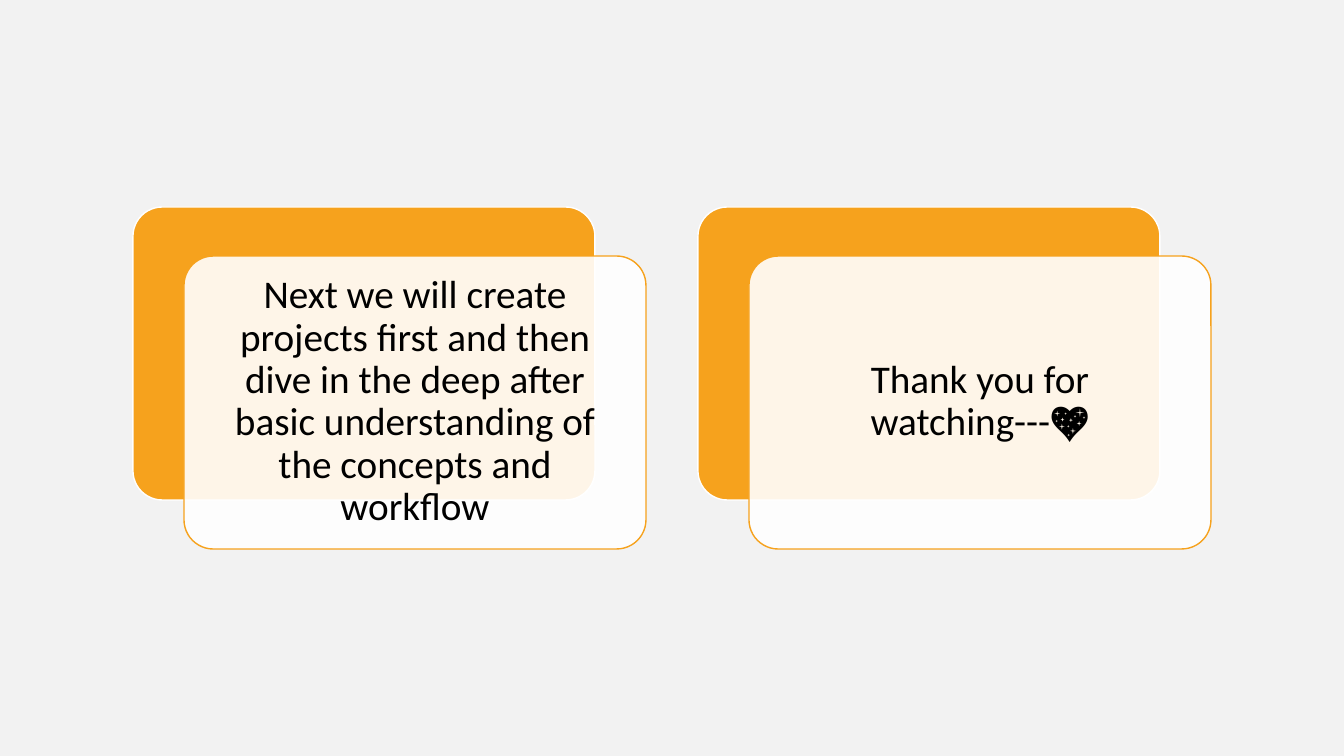
"""Build the closing slide with two layered cards."""
import pptx
import pptx.util
import pptx.dml.color
import pptx.enum.shapes
import pptx.enum.text
import pptx.oxml.ns
import lxml.etree

PX = 12192000 / 1344
HUES = {"back": "F2F2F2", "gold": "F6A21D", "white": "FFFFFF", "ink": "000000"}
NOTES = [
    "Next we will create projects first and then dive in the deep "
    "after basic understanding of the concepts and workflow",
    "Thank you for watching---💖",
]
LEFT, TOP, STEP = 133, 207, 565
WIDE, HIGH = 462, 293


def px(*nums):
    return [pptx.util.Emu(round(num * PX)) for num in nums]


def hue(name):
    return pptx.dml.color.RGBColor.from_string(HUES[name])


deck = pptx.Presentation()
deck.slide_width, deck.slide_height = px(1344, 756)
slide = deck.slides.add_slide(deck.slide_layouts[6])
slide.background.fill.solid()
slide.background.fill.fore_color.rgb = hue("back")

for col, note in enumerate(NOTES):
    left = LEFT + col * STEP
    for right, down, fill, line in [(0, 0, "gold", "white"), (51, 49, "white", "gold")]:
        card = slide.shapes.add_shape(
            pptx.enum.shapes.MSO_SHAPE.ROUNDED_RECTANGLE,
            *px(left + right, TOP + down, WIDE, HIGH))
        card.adjustments[0] = 0.1
        card.shadow.inherit = False
        card.fill.solid()
        card.fill.fore_color.rgb = hue(fill)
        card.line.color.rgb = hue(line)
        card.line.width = pptx.util.Pt(1)

    tint = card.fill._xPr.find(".//" + pptx.oxml.ns.qn("a:srgbClr"))
    lxml.etree.SubElement(tint, pptx.oxml.ns.qn("a:alpha"), val="90000")

    box = slide.shapes.add_textbox(*px(left + 60, TOP + 57, 444, 276))
    frame = box.text_frame
    frame.word_wrap = True
    frame.vertical_anchor = pptx.enum.text.MSO_ANCHOR.MIDDLE
    for side in ("left", "top", "right", "bottom"):
        setattr(frame, "margin_" + side, px(12)[0])
    para = frame.paragraphs[0]
    para.text = note
    para.alignment = pptx.enum.text.PP_ALIGN.CENTER
    para.line_spacing = 0.9
    para.font.name = "Calibri"
    para.font.size = pptx.util.Pt(28)
    para.font.color.rgb = hue("ink")

deck.save("out.pptx")
